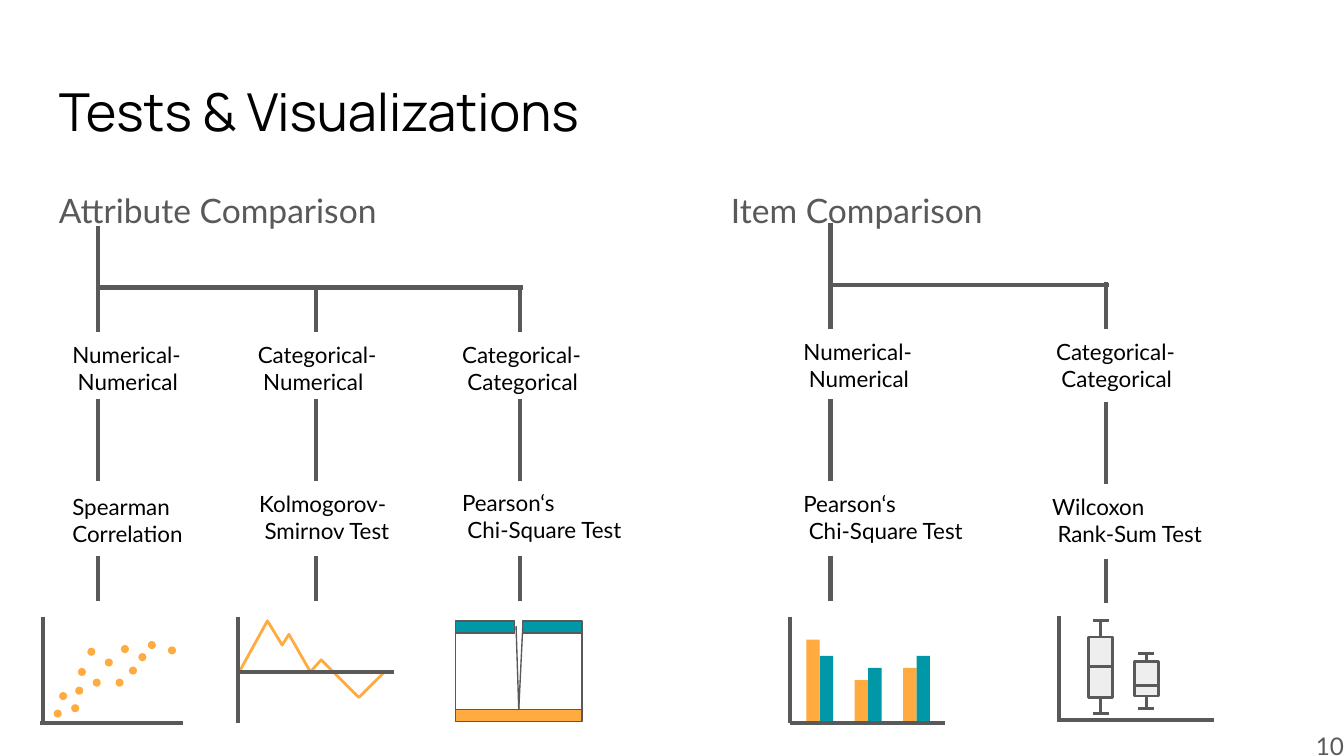
import pptx
import pptx.util
import pptx.dml.color
import pptx.enum.shapes
import pptx.enum.text
import pptx.oxml.ns
import lxml.etree

Inches = pptx.util.Inches
Kind = pptx.enum.shapes.MSO_SHAPE
Align = pptx.enum.text.PP_ALIGN
qn = pptx.oxml.ns.qn

GRAY, PALE, BLACK = "595959", "EEEEEE", "000000"
GOLD, TEAL = "FFAB40", "0097A7"
THICK, MID, THIN = 2.25, 1.5, 0.75

# line x, pair label x, width, pair, test x, y, width, height, test, link shift
ATTRS = [
    (0.73, 0.44, 1.07, ["Numerical-", "Numerical"],
     0.44, 3.62, 1.07, 0.5, ["Spearman", "Correlation"], 0),
    (2.35, 1.82, 1.16, ["Categorical-", "Numerical"],
     1.83, 3.60, 1.24, 0.5, ["Kolmogorov-", "Smirnov Test"], 0),
    (3.87, 3.34, 1.16, ["Categorical-", "Categorical"],
     3.34, 3.59, 1.43, 0.71, ["Pearson‘s\nChi-Square Test"], 0),
]
ITEMS = [
    (6.18, 5.88, 1.07, ["Numerical-", "Numerical"],
     5.88, 3.60, 1.50, 0.5, ["Pearson‘s\nChi-Square Test"], 0),
    (8.23, 7.76, 1.16, ["Categorical-", "Categorical"],
     7.73, 3.62, 1.51, 0.5, ["Wilcoxon", "Rank-Sum Test"], 0.02),
]
DOTS = [(0.40, 5.28), (0.65, 4.82), (0.90, 4.80), (0.96, 4.96), (1.10, 4.77),
        (0.78, 4.90), (0.69, 5.05), (0.58, 4.97), (0.56, 5.11), (0.44, 5.15),
        (0.53, 5.24), (0.86, 5.05), (1.03, 4.86), (1.25, 4.81)]
CURVE = [(1.78, 5), (1.99, 4.62), (2.10, 4.80), (2.15, 4.72), (2.31, 5),
         (2.39, 4.91), (2.67, 5.19), (2.71, 5.15), (2.86, 5)]
BARS = [(4.76, 4.88), (5.06, 4.97), (4.97, 4.88)]


def tint(color, code):
    color.rgb = pptx.dml.color.RGBColor.from_string(code)


def stroke(line, code, width):
    tint(line.color, code)
    line.width = pptx.util.Pt(width)


def line(shapes, x1, y1, x2, y2, width=THICK):
    item = shapes.add_connector(
        pptx.enum.shapes.MSO_CONNECTOR.STRAIGHT,
        Inches(x1), Inches(y1), Inches(x2), Inches(y2))
    stroke(item.line, GRAY, width)
    lxml.etree.SubElement(item._element.spPr, qn("a:effectLst"))


def block(shapes, kind, x, y, w, h, fill, width=None):
    item = shapes.add_shape(kind, Inches(x), Inches(y), Inches(w), Inches(h))
    item.shadow.inherit = False
    item.fill.solid()
    tint(item.fill.fore_color, fill)
    if width:
        stroke(item.line, GRAY, width)
    else:
        item.line.fill.background()


def indent(para, left, first=0):
    props = para._p.get_or_add_pPr()
    props.set("marL", str(Inches(left)))
    props.set("indent", str(Inches(first)))


def tabs(para, stops):
    group = lxml.etree.SubElement(para._p.get_or_add_pPr(), qn("a:tabLst"))
    for stop in stops:
        lxml.etree.SubElement(group, qn("a:tab"),
                              pos=str(Inches(stop)), algn="l")


def text(shapes, x, y, w, h, rows, font="Lato", size=12, code=BLACK,
         pad=(0.1, 0.05), align=Align.LEFT, space=None, shift=0, stops=()):
    frame = shapes.add_textbox(
        Inches(x), Inches(y), Inches(w), Inches(h)).text_frame
    frame.word_wrap = True
    frame.margin_left = frame.margin_right = Inches(pad[0])
    frame.margin_top = frame.margin_bottom = Inches(pad[1])
    for i, row in enumerate(rows):
        para = frame.paragraphs[0] if i == 0 else frame.add_paragraph()
        para.alignment = align
        if space:
            para.line_spacing = space
        if stops:
            tabs(para, stops)
        parts = row.split("\n")
        if shift and (i or len(parts) > 1):
            indent(para, shift, 0 if i else -shift)
        for j, part in enumerate(parts):
            if j:
                para.add_line_break()
            run = para.add_run()
            run.text = part
            run.font.name = font
            run.font.size = pptx.util.Pt(size)
            tint(run.font.color, code)
        para.font.size = pptx.util.Pt(size)


def tree(shapes, cols, top):
    # Trunk, crossbar and branches
    first, last = cols[0][0], cols[-1][0]
    line(shapes, first, top, first, top + 0.79)
    line(shapes, first + 0.01, top + 0.46, last + 0.02, top + 0.46)
    for col in cols[1:]:
        line(shapes, col[0], top + 0.44, col[0], top + 0.79)
    # Links and labels of each column
    for x, left, wide, pair, tx, ty, tw, th, test, drop in cols:
        for y1, y2 in [(2.97, 3.58), (4.14, 4.47)]:
            line(shapes, x, y1 + drop, x, y2 + drop)
        text(shapes, left, top + 0.81, wide, 0.5, pair, shift=0.04)
        shift = 0 if test[0] == "Spearman" else 0.04
        text(shapes, tx, ty, tw, th, test, shift=shift)


def axes(shapes, x, top, base, right, start=None):
    line(shapes, x, top, x, top + 0.79)
    line(shapes, x if start is None else start, base, right, base)


def scatter(shapes):
    axes(shapes, 0.32, 4.59, 5.38, 1.36, 0.3)
    for x, y in DOTS:
        block(shapes, Kind.OVAL, x, y, 0.06, 0.06, GOLD)


def curve(shapes):
    path = [(Inches(x), Inches(y)) for x, y in CURVE]
    maker = shapes.build_freeform(*path[0])
    maker.add_line_segments(path[1:], close=True)
    item = maker.convert_to_shape()
    item.shadow.inherit = False
    item.fill.background()
    stroke(item.line, GOLD, MID)
    axes(shapes, 1.77, 4.59, 5, 2.93)


def flow(shapes):
    part = shapes.add_group_shape().shapes
    line(part, 3.39, 4.66, 3.39, 5.33, THIN)
    block(part, Kind.RECTANGLE, 3.39, 5.28, 0.94, 0.09, GOLD, THIN)
    for x in (3.39, 3.89):
        block(part, Kind.RECTANGLE, x, 4.62, 0.44, 0.09, TEAL, THIN)
    line(part, 4.33, 4.66, 4.33, 5.33, THIN)
    for x in (3.89, 3.84):
        line(part, x, 4.66, 3.86, 5.28, THIN)


def bars(shapes):
    base = 5.38
    for i, pair in enumerate(BARS):
        for j, (top, fill) in enumerate(zip(pair, (GOLD, TEAL))):
            block(shapes, Kind.RECTANGLE, 6 + 0.36 * i + 0.1 * j, top,
                  0.1, base - top, fill)
    axes(shapes.add_group_shape().shapes, 5.88, 4.59, base, 7.03)


def whisker(shapes, x, low, high, top, tall, mid):
    part = shapes.add_group_shape().shapes
    line(part, x, low, x, high, MID)
    block(part, Kind.RECTANGLE, x - 0.09, top, 0.18, tall, PALE, MID)
    line(part, x - 0.09, mid, x + 0.09, mid, MID)
    for y in (low, high):
        line(part, x - 0.06, y, x + 0.06, y, MID)


def main():
    deck = pptx.Presentation()
    deck.slide_width = Inches(10)
    deck.slide_height = deck.slide_width * 9 // 16
    shapes = deck.slides.add_slide(deck.slide_layouts[6]).shapes

    # Title, headings and page number
    text(shapes, 0.34, 0.49, 9.32, 0.63, ["Tests & Visualizations"],
         "Manrope", 28, pad=(0.1, 0.1))
    text(shapes, 0.34, 1.27, 9.59, 0.41,
         ["Attribute Comparison\t\t\tItem Comparison"], size=18, code=GRAY,
         pad=(0.1, 0.1), space=1.15, stops=(3, 4, 5))
    text(shapes, 9.4, 5.44, 0.6, 0.19, ["10"], size=13, code=GRAY,
         pad=(0, 0), align=Align.RIGHT)

    # Decision trees
    tree(shapes, ATTRS, 1.68)
    tree(shapes, ITEMS, 1.66)

    # Small charts under the branches
    scatter(shapes)
    curve(shapes)
    flow(shapes)
    bars(shapes)
    whisker(shapes, 8.19, 4.62, 5.31, 4.74, 0.45, 4.96)
    whisker(shapes, 8.53, 4.86, 5.27, 4.92, 0.26, 5.1)
    axes(shapes.add_group_shape().shapes, 7.88, 4.58, 5.36, 9.03)

    deck.save("out.pptx")


if __name__ == "__main__":
    main()
